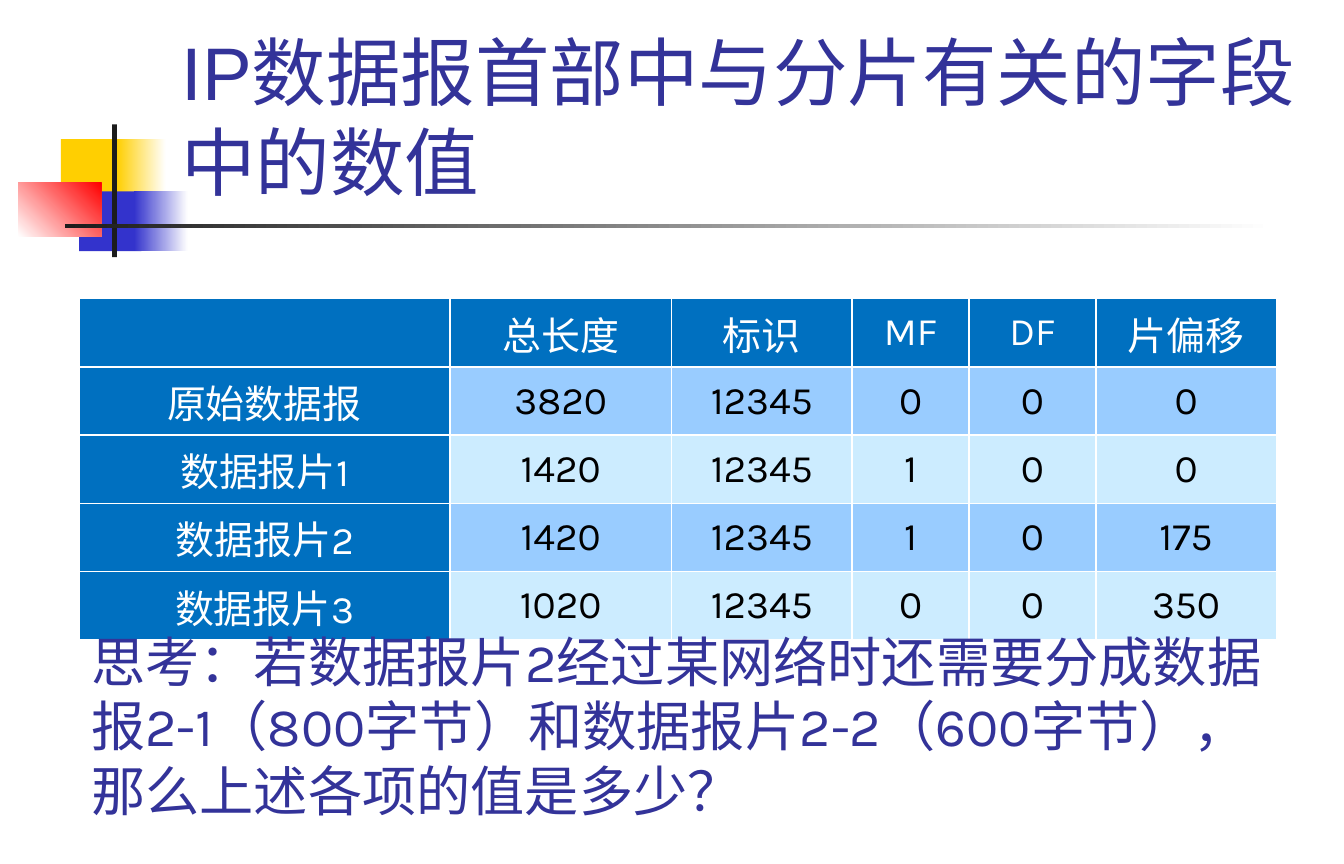
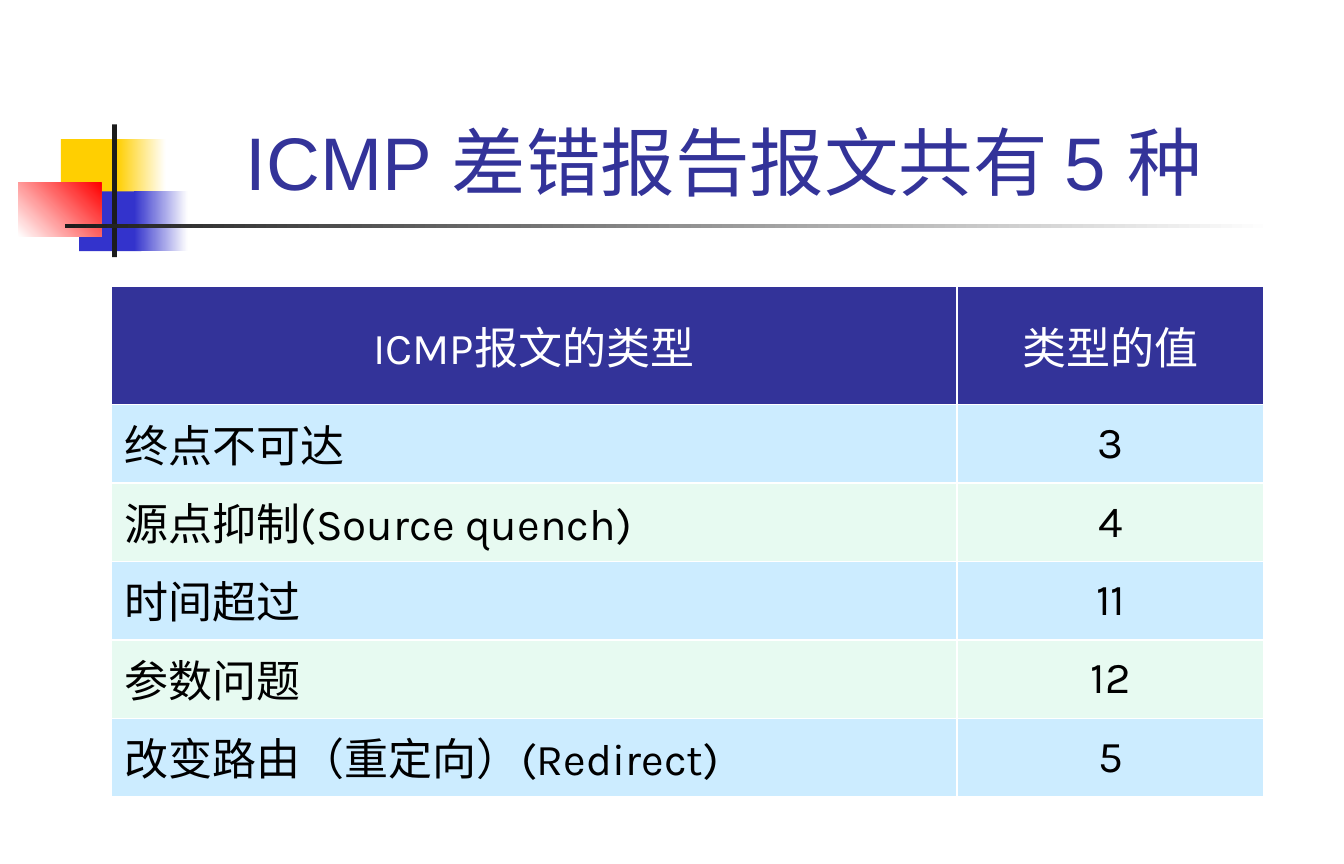
from pptx import Presentation
from pptx.util import Inches, Pt
from pptx.dml.color import RGBColor
from pptx.enum.shapes import MSO_SHAPE
from pptx.enum.text import MSO_ANCHOR, PP_ALIGN
from pptx.oxml import parse_xml
from pptx.oxml.ns import nsdecls

RECT = MSO_SHAPE.RECTANGLE
TOP, MIDDLE, BOTTOM = MSO_ANCHOR.TOP, MSO_ANCHOR.MIDDLE, MSO_ANCHOR.BOTTOM
LEFT, CENTER = PP_ALIGN.LEFT, PP_ALIGN.CENTER

HUE = {"navy": "333399", "gold": "FFCF01", "blue": "3333CC", "red": "FF0000",
       "ink": "1C1C1C", "white": "FFFFFF", "black": "000000",
       "head": "0070C0", "mid": "99CCFF", "pale": "CCECFF", "mint": "E7FAF1"}
RGB = {name: RGBColor.from_string(code) for name, code in HUE.items()}

# Master motif: place, colours from start to end, angle
MOTIF = [
    ((0.5, 1.14, 0.53, 0.49), ["gold"], 0),
    ((0.96, 1.14, 0.4, 0.49), ["gold", "white"], 0),
    ((0.65, 1.57, 0.51, 0.49), ["blue"], 0),
    ((1.1, 1.57, 0.44, 0.49), ["blue", "white"], 0),
    ((0.15, 1.5, 0.68, 0.44), ["white", "red"], 45),
    ((0.92, 1.02, 0.04, 1.09), ["ink"], 0),
    ((0.53, 1.84, 9.92, 0.03), ["ink", "white"], 0),
]
TITLE = {"name": "Arial", "size": Pt(44)}
BODY = {"name": "Karla", "size": Pt(32)}

# Slide content
PAGES = [
    {"title": "IP数据报首部中与分片有关的字段中的数值",
     "box": (1.39, 0.22, 9.4, 1.51), "align": LEFT,
     "at": (0.65, 2.45), "cols": [3.04, 1.82, 1.48, 0.96, 1.04, 1.48],
     "heights": [0.56] * 5, "size": 23, "head": "head",
     "bands": ["mid", "pale"], "side": ("head", "white", CENTER, MIDDLE),
     "rows": [["", "总长度", "标识", "MF", "DF", "片偏移"],
              ["原始数据报", "3820", "12345", "0", "0", "0"],
              ["数据报片1", "1420", "12345", "1", "0", "0"],
              ["数据报片2", "1420", "12345", "1", "0", "175"],
              ["数据报片3", "1020", "12345", "0", "0", "350"]],
     "note": "思考：若数据报片2经过某网络时还需要分成数据报2-1（800字节）"
             "和数据报片2-2（600字节），那么上述各项的值是多少？"},
    {"title": "ICMP 差错报告报文共有 5 种 ",
     "box": (1.11, 0.22, 9.79, 1.51), "align": CENTER,
     "at": (0.91, 2.35), "cols": [6.94, 2.52],
     "heights": [0.97] + [3.22 / 5] * 5, "size": 26, "head": "navy",
     "bands": ["pale", "mint"], "side": (None, "black", LEFT, TOP),
     "rows": [["ICMP报文的类型", "类型的值"],
              ["终点不可达", "3"],
              ["源点抑制(Source quench)", "4"],
              ["时间超过", "11"],
              ["参数问题", "12"],
              ["改变路由（重定向）(Redirect)", "5"]]},
]


def write(frame, text, style, hue, align, lead=None):
    para = frame.paragraphs[0]
    para.alignment = align
    if lead:
        para.line_spacing = Pt(lead)
    run = para.add_run()
    run.text = text
    for key, value in style.items():
        setattr(run.font, key, value)
    run.font.color.rgb = RGB[hue]


def add_text(slide, box, text, style, align, anchor, lead):
    frame = slide.shapes.add_textbox(*map(Inches, box)).text_frame
    frame.word_wrap = True
    frame.vertical_anchor = anchor
    write(frame, text, style, "navy", align, lead)


prs = Presentation()
prs.slide_width, prs.slide_height = Inches(11.024), Inches(7.087)

for page in PAGES:
    slide = prs.slides.add_slide(prs.slide_layouts[6])

    # Motif
    for place, hues, angle in MOTIF:
        block = slide.shapes.add_shape(RECT, *map(Inches, place))
        block.shadow.inherit = False
        block.line.fill.background()
        if len(hues) == 1:
            block.fill.solid()
            block.fill.fore_color.rgb = RGB[hues[0]]
            continue
        block.fill.gradient()
        block.fill.gradient_angle = angle
        for stop, hue, pos in zip(block.fill.gradient_stops, hues, (0, 1)):
            stop.color.rgb = RGB[hue]
            stop.position = pos

    # Title
    add_text(slide, page["box"], page["title"], TITLE, page["align"], BOTTOM, 53)

    # Table
    rows, cols, highs = page["rows"], page["cols"], page["heights"]
    size = map(Inches, (*page["at"], sum(cols), sum(highs)))
    table = slide.shapes.add_table(len(rows), len(cols), *size).table
    table.horz_banding = False
    for col, width in zip(table.columns, cols):
        col.width = Inches(width)
    for r, (row, high) in enumerate(zip(rows, highs)):
        table.rows[r].height = Inches(high)
        for c, text in enumerate(row):
            cell = table.cell(r, c)
            fill, ink, align, anchor = None, "black", CENTER, MIDDLE
            if r == 0:
                fill, ink = page["head"], "white"
            elif c == 0:
                fill, ink, align, anchor = page["side"]
            fill = fill or page["bands"][(r - 1) % 2]
            look = {"vertical_anchor": anchor,
                    "margin_left": Inches(0.11), "margin_right": Inches(0.11),
                    "margin_top": Inches(0.05), "margin_bottom": Inches(0.05)}
            for key, value in look.items():
                setattr(cell, key, value)
            # Borders come before the fill in the cell properties
            props = cell._tc.get_or_add_tcPr()
            for edge in "LRTB":
                props.append(parse_xml(
                    f'<a:ln{edge} {nsdecls("a")} w="{Pt(1)}"><a:solidFill>'
                    f'<a:srgbClr val="{HUE["white"]}"/></a:solidFill></a:ln{edge}>'))
            cell.fill.solid()
            cell.fill.fore_color.rgb = RGB[fill]
            if text:
                style = {"name": "Karla", "size": Pt(page["size"]), "bold": False}
                write(cell.text_frame, text, style, ink, align)

    # Question under the table
    if "note" in page:
        add_text(slide, (0.65, 5.11, 9.81, 1.72), page["note"], BODY, LEFT, TOP, 38)

prs.save("out.pptx")
